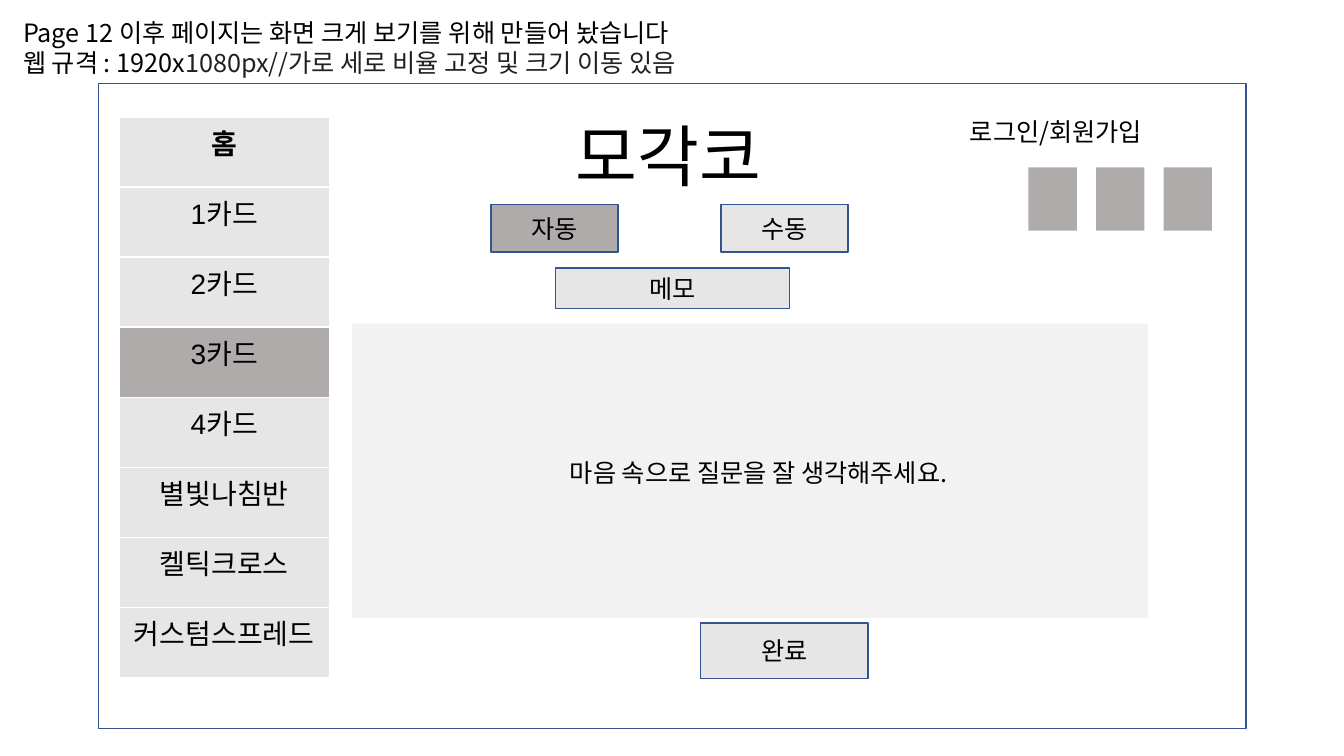
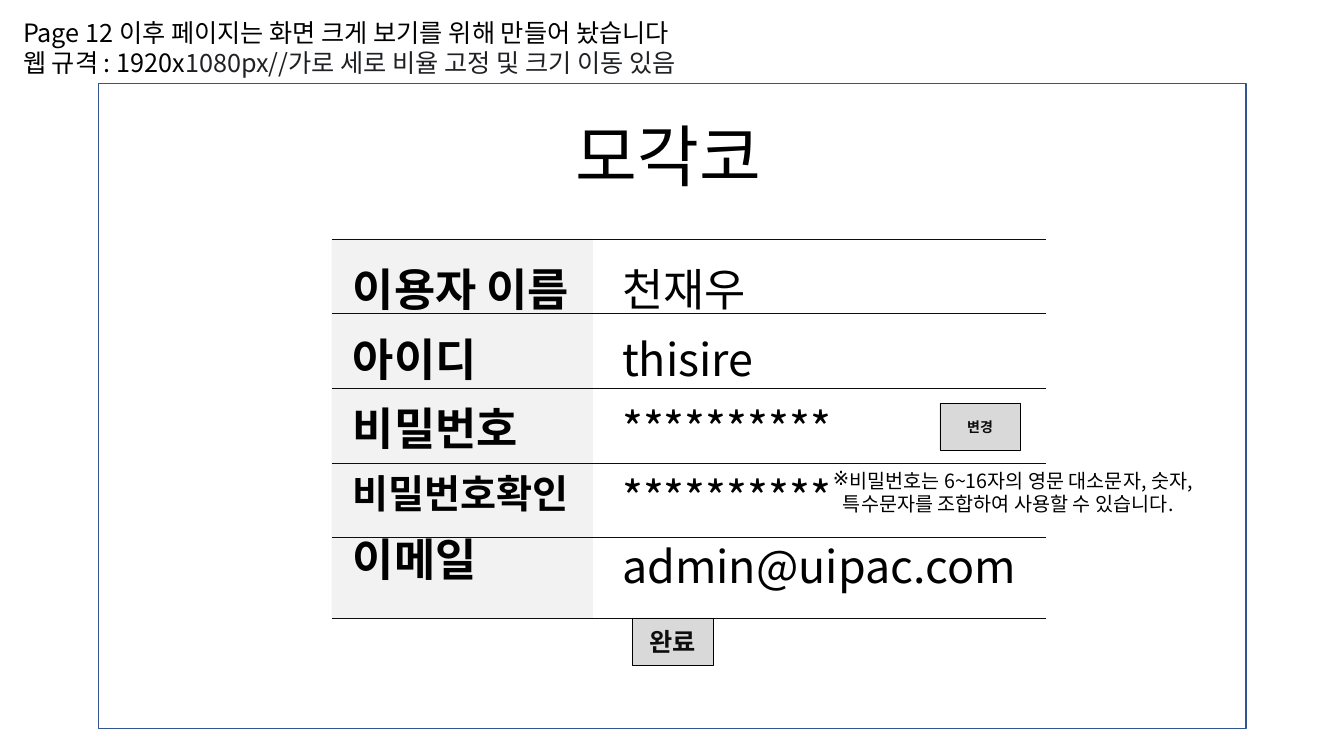
from lxml import etree
from pptx import Presentation
from pptx import util as u
from pptx.dml import color
from pptx.enum import dml, shapes, text
from pptx.oxml import ns

FONT = "Noto Sans CJK KR"
BLACK, INK, BLUE, WHITE = "000000", "0D0D0D", "325491", "FFFFFF"
PALE, LIGHT, SILVER, DARK = "F2F2F2", "E7E6E6", "D9D9D9", "AFABAB"
LEFT, CENTER = text.PP_ALIGN.LEFT, text.PP_ALIGN.CENTER
TOP, MIDDLE = text.MSO_ANCHOR.TOP, text.MSO_ANCHOR.MIDDLE


def rgb(value):
    return color.RGBColor.from_string(value)


class Wireframe:
    """Holds the style and the current page; lengths are percent of the slide."""

    def __init__(self):
        self.deck = Presentation()
        self.deck.slide_width, self.deck.slide_height = u.Inches(13.33), u.Inches(7.5)
        self.page = None

    def across(self, share):
        return round(self.deck.slide_width * share / 100)

    def down(self, share):
        return round(self.deck.slide_height * share / 100)

    def place(self, left, top, width, height):
        return self.across(left), self.down(top), self.across(width), self.down(height)

    def span(self, para, words, size=18, ink=BLACK, bold=False, font=FONT):
        span = para.add_run()
        span.text = words
        span.font.size, span.font.bold = u.Pt(size), bold
        span.font.color.rgb = rgb(ink)
        span.font.name = font
        east = etree.SubElement(span.font._element, ns.qn("a:ea"))
        east.set("typeface", FONT)

    def frame_style(self, frame, anchor=TOP, wrap=True, inset=None):
        frame.word_wrap, frame.vertical_anchor = wrap, anchor
        frame.auto_size = text.MSO_AUTO_SIZE.NONE
        if inset is not None:
            frame.margin_left = frame.margin_right = inset
            frame.margin_top = frame.margin_bottom = inset

    def paragraphs(self, frame, lines, align=LEFT, after=0):
        """Each line is a list of (words, style) spans."""
        for index, line in enumerate(lines):
            para = frame.paragraphs[0] if index == 0 else frame.add_paragraph()
            para.alignment, para.space_after = align, u.Pt(after)
            for words, style in line:
                self.span(para, words, **style)

    def label(self, area, lines, align=LEFT, after=0, wrap=True, inset=None):
        box = self.page.shapes.add_textbox(*self.place(*area))
        self.frame_style(box.text_frame, wrap=wrap, inset=inset)
        self.paragraphs(box.text_frame, lines, align, after)
        return box

    def block(self, area, fill, line=None, weight=1):
        box = self.page.shapes.add_shape(shapes.MSO_SHAPE.RECTANGLE, *self.place(*area))
        box.shadow.inherit = False
        box.fill.solid()
        box.fill.fore_color.rgb = rgb(fill)
        if line:
            box.line.color.rgb, box.line.width = rgb(line), u.Pt(weight)
        else:
            box.line.fill.background()
        return box

    def button(self, area, words, fill=LIGHT, line=BLUE, weight=1, inset=None, **style):
        box = self.block(area, fill, line, weight)
        self.frame_style(box.text_frame, MIDDLE, inset=inset)
        self.paragraphs(box.text_frame, [[(words, style)]], CENTER)

    def rule(self, left, right, top):
        line = self.page.shapes.add_connector(
            shapes.MSO_CONNECTOR.STRAIGHT, self.across(left), self.down(top),
            self.across(right), self.down(top))
        line.line.color.rgb, line.line.width = rgb(INK), u.Pt(0.25)
        line.line.dash_style = dml.MSO_LINE.ROUND_DOT
        etree.SubElement(line._element.spPr, ns.qn("a:effectLst"))

    def menu(self, area, items, active):
        table = self.page.shapes.add_table(len(items), 1, *self.place(*area)).table
        table.horz_banding = False
        for index, item in enumerate(items):
            cell = table.cell(index, 0)
            cell.fill.solid()
            cell.fill.fore_color.rgb = rgb(DARK if item == active else LIGHT)
            style = dict(size=20, font="Arial", bold=index == 0)
            self.paragraphs(cell.text_frame, [[(item, style)]], CENTER)

    def bullet(self, para, mark, indent):
        props = para._p.get_or_add_pPr()
        props.set("marL", str(indent))
        props.set("indent", str(-indent))
        etree.SubElement(props, ns.qn("a:buChar")).set("char", mark)

    def new_page(self, title):
        """Adds a page with the shared screen outline, size note and title."""
        self.page = self.deck.slides.add_slide(self.deck.slide_layouts[5])
        heading = self.page.shapes.title
        screen = self.block((7.35, 11.07, 85.37, 85.33), WHITE, BLUE)
        heading.element.addprevious(screen.element)
        self.label((0.98, 1.6, 55.44, 9.47), [
            [("Page 12 이후 페이지는 화면 크게 보기를 위해 만들어 놨습니다", {})],
            [("웹 규격 : 1920x", {}),
             ("1080px//가로 세로 비율 고정 및 크기 이동 있음", dict(ink="202124"))],
        ], wrap=False)
        area = self.place(42.09, 14.4, 18.38, 12.13)
        heading.left, heading.top, heading.width, heading.height = area
        self.frame_style(heading.text_frame)
        self.paragraphs(heading.text_frame, [[(title, dict(size=48))]])


def card_page(frame):
    frame.new_page("모각코")
    frame.menu((8.85, 15.47, 15.68, 74.13),
               ["홈", "1카드", "2카드", "3카드", "4카드",
                "별빛나침반", "켈틱크로스", "커스텀스프레드"], active="3카드")
    frame.block((26.18, 42.8, 59.26, 38.93), PALE)

    # Login link and icon tiles
    for index in range(3):
        frame.block((76.52 + 5.03 * index, 22.13, 3.6, 8.4), DARK)
    frame.label((71.42, 14.67, 18.38, 5.33), [[("로그인/회원가입", {})]])

    # Buttons and prompt
    frame.button((36.53, 27.07, 9.45, 6.27), "자동", DARK)
    frame.button((53.64, 27.07, 9.45, 6.27), "수동")
    frame.button((41.34, 35.47, 17.4, 5.33), "메모")
    frame.button((52.14, 82.4, 12.45, 7.33), "완료")
    frame.label((32.03, 59.87, 48.84, 5.33),
                [[("마음 속으로 질문을 잘 생각해주세요.", {})]], CENTER)


def profile_page(frame):
    frame.new_page("모각코")
    left, right, top, bottom, row = 24.68, 77.79, 31.6, 81.73, 9.87

    # Form grid
    frame.block((left, top, 19.43, bottom - top), PALE)
    for height in [top + row * index for index in range(5)] + [bottom]:
        frame.rule(left, right, height)

    # Field names and values
    names = [("이용자 이름", 32), ("아이디", 32), ("비밀번호", 32),
             ("비밀번호확인", 28), ("이메일", 32)]
    values = ["천재우", "thisire", "*" * 10, "*" * 10, "admin@uipac.com"]
    frame.label((26.26, 34.67, 18.3, 43.2),
                [[(name, dict(size=size, bold=True))] for name, size in names],
                after=11, inset=0)
    frame.label((46.29, 34.67, 31.43, 44.13),
                [[(value, dict(size=32))] for value in values], after=11, inset=0)

    # Buttons and password hint
    for place, words, size in [((69.92, 53.33), "변경", 10), ((47.04, bottom), "완료", 18)]:
        frame.button((*place, 6, 6.27), words, SILVER, BLACK, 0.25, 0,
                     size=size, ink=INK, bold=True)
    hint = "비밀번호는 6~16자의 영문 대소문자, 숫자, 특수문자를 조합하여 사용할 수 있습니다."
    box = frame.label((61.97, 62, 28.51, 9.47), [[(hint, dict(size=14))]],
                      after=11, inset=0)
    frame.bullet(box.text_frame.paragraphs[0], "※", u.Inches(0.1))


def main():
    frame = Wireframe()
    card_page(frame)
    profile_page(frame)
    frame.deck.save("out.pptx")


if __name__ == "__main__":
    main()
